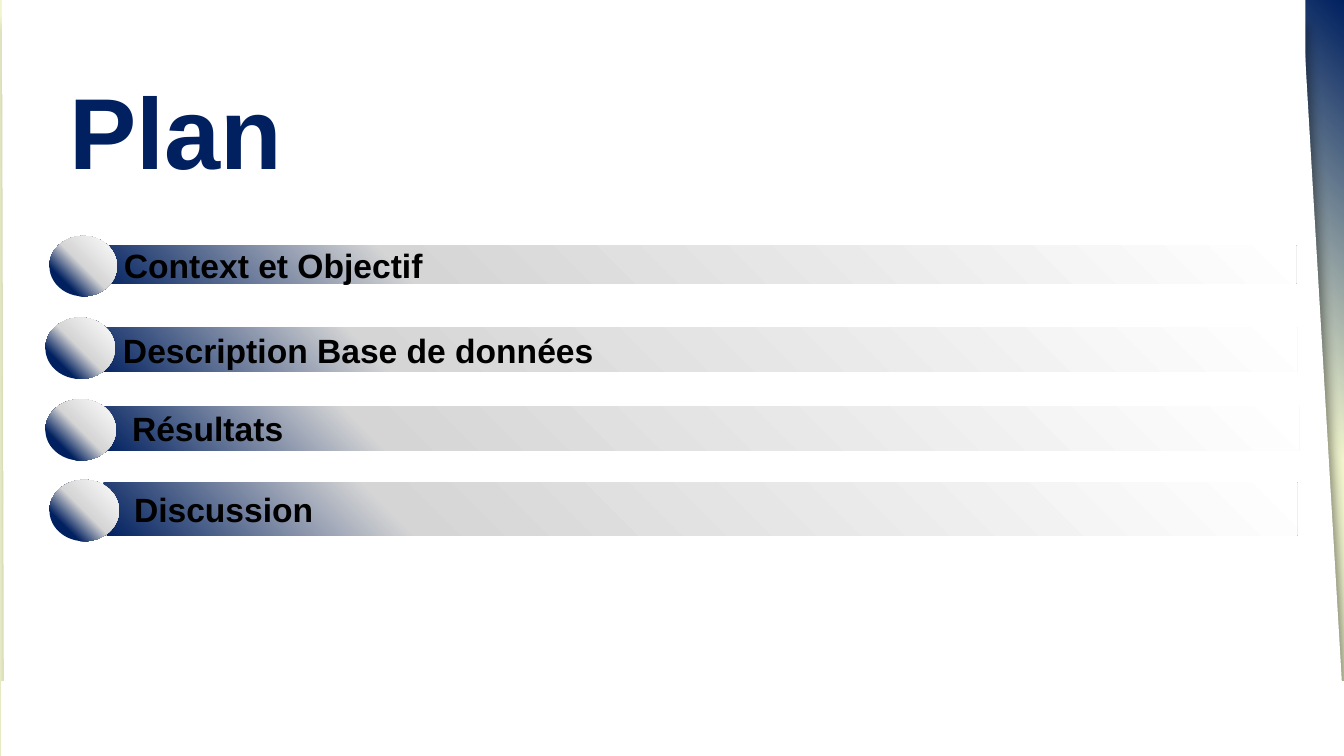
"""Build the "Plan" agenda slide with four gradient bars and bullets."""
from pptx import Presentation
from pptx import oxml
from pptx import util as u
from pptx.dml.color import RGBColor
from pptx.enum import shapes, text
from pptx.oxml import ns

PX = 9144
C = {"navy": "002060", "cream": "F1F5CD", "grey": "D5D5D5", "white": "FFFFFF", "black": "000000"}
CORNER = '<a:path path="circle"><a:fillToRect t="100000" r="100000"/></a:path>'
DIAGONAL = '<a:lin ang="18900000" scaled="0"/>'


def gradient(fill, root, stops, direction):
    fill.gradient()
    grad = next(root.iter(ns.qn("a:gradFill")))
    gs = "".join(f'<a:gs pos="{pos * 1000}"><a:srgbClr val="{C[name]}"/></a:gs>' for pos, name in stops)
    new = oxml.parse_xml(f'<a:gradFill {ns.nsdecls("a")} rotWithShape="1"><a:gsLst>{gs}</a:gsLst>{direction}</a:gradFill>')
    grad[:] = list(new)


def add_shape(parent, kind, box, color=None):
    sp = parent.add_shape(kind, *(v * PX for v in box))
    sp.shadow.inherit = False
    sp.line.fill.background()
    if color:
        sp.fill.solid()
        sp.fill.fore_color.rgb = RGBColor.from_string(C[color])
    return sp


prs = Presentation()
prs.slide_width, prs.slide_height = u.Inches(13.333), u.Inches(7.5)
slide = prs.slides.add_slide(prs.slide_layouts[5])
gradient(slide.background.fill, slide._element, [(0, "cream"), (78, "cream"), (100, "navy")], CORNER)

builder = slide.shapes.build_freeform(2, 9, scale=PX)
builder.add_line_segments([(1292, 9), (1334, 725), (1333, 750), (4, 750)], close=True)
page = builder.convert_to_shape()
page.shadow.inherit = False
page.fill.solid()
page.fill.fore_color.rgb = RGBColor.from_string(C["white"])
page.line.fill.background()
effects = page._element.spPr.find(ns.qn("a:effectLst"))
effects.append(oxml.parse_xml(
    f'<a:outerShdw {ns.nsdecls("a")} blurRad="{u.Pt(8)}" dist="{u.Pt(12)}" dir="4380000" algn="tl" rotWithShape="0">'
    f'<a:srgbClr val="{C["black"]}"><a:alpha val="43000"/></a:srgbClr></a:outerShdw>'))
add_shape(slide.shapes, shapes.MSO_SHAPE.RECTANGLE, (2, 0, 1293, 73), "white")

title = slide.shapes.title
slide.shapes._spTree.append(title._element)
for name, value in zip(("left", "top", "width", "height"), (59, 73, 1193, 126)):
    setattr(title, name, value * PX)
title.text_frame.text = "Plan"
title.text_frame.vertical_anchor = text.MSO_ANCHOR.MIDDLE
p = title.text_frame.paragraphs[0]
p.alignment, p.line_spacing = text.PP_ALIGN.LEFT, 0.9
for name, value in {"name": "Arial", "size": u.Pt(72), "bold": True}.items():
    setattr(p.font, name, value)
p.font.color.rgb = RGBColor.from_string(C["navy"])

agenda = [
    ("Context et Objectif", (93, 244, 1193, 37), 26, (49, 234, 67, 60)),
    ("Description Base de données", (92, 325, 1195, 44), 24, (45, 315, 69, 61)),
    ("Résultats", (101, 403, 1188, 44), 23, (45, 396, 70, 61)),
    ("Discussion", (103, 479, 1184, 52), 25, (49, 476, 69, 61)),
]
for label, bar_box, grey_stop, ball_box in agenda:
    group = slide.shapes.add_group_shape()
    bar = add_shape(group.shapes, shapes.MSO_SHAPE.RECTANGLE, bar_box)
    gradient(bar.fill, bar._element, [(0, "navy"), (grey_stop, "grey"), (100, "white")], DIAGONAL)
    tf = bar.text_frame
    tf.text = label
    tf.margin_left = 30 * PX
    tf.vertical_anchor = text.MSO_ANCHOR.MIDDLE
    p = tf.paragraphs[0]
    p.alignment = text.PP_ALIGN.LEFT
    for name, value in {"name": "Arial", "size": u.Pt(24), "bold": True}.items():
        setattr(p.font, name, value)
    p.font.color.rgb = RGBColor.from_string(C["black"])
    ball = add_shape(group.shapes, shapes.MSO_SHAPE.OVAL, ball_box)
    gradient(ball.fill, ball._element, [(0, "navy"), (23, "navy"), (50, "grey"), (100, "white")], DIAGONAL)

footer = add_shape(slide.shapes, shapes.MSO_SHAPE.RECTANGLE, (2, 677, 1331, 73), "white")
footer.line.color.rgb = RGBColor.from_string(C["white"])
footer.line.width = u.Pt(1.5)

prs.save("out.pptx")
